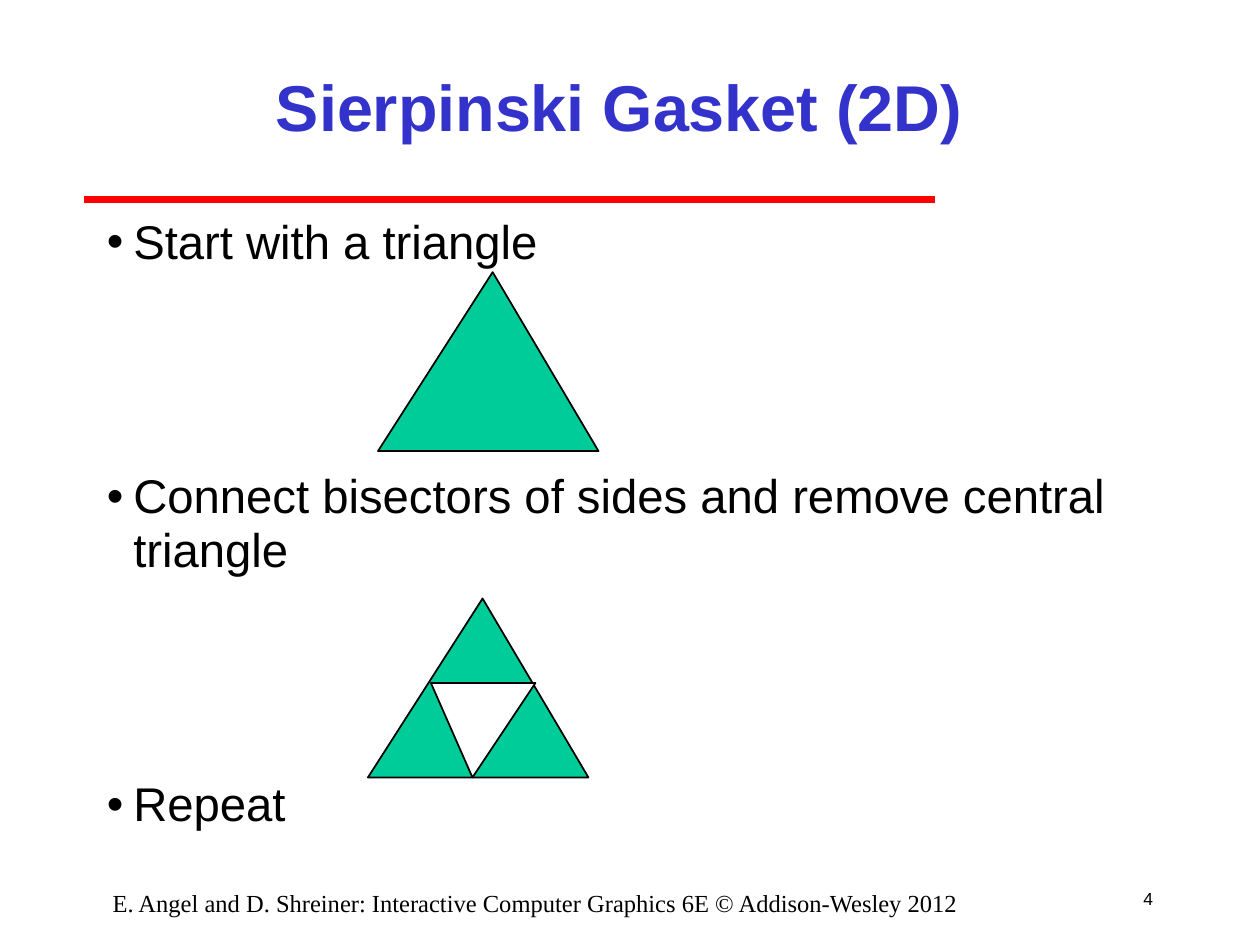
from lxml.etree import SubElement
from pptx import Presentation
from pptx.dml.color import RGBColor
from pptx.enum.shapes import MSO_CONNECTOR
from pptx.enum.text import MSO_ANCHOR, PP_ALIGN
from pptx.oxml.ns import qn
from pptx.util import Inches, Pt

WIDE, HIGH = 10, 7.5
BLACK, GREEN, WHITE = "000000", "00CC99", "FFFFFF"
BLUE, RED = "3333CC", "FF0000"
INDENT = Inches(0.21)
GAP = 115  # room for a figure between two bullets, in points


def paint(color, code):
    color.rgb = RGBColor.from_string(code)


def add_text(slide, box, lines, size, name="Arial", code=BLACK, bold=False,
             align=PP_ALIGN.LEFT, anchor=MSO_ANCHOR.TOP):
    frame = slide.shapes.add_textbox(*map(Inches, box)).text_frame
    frame.word_wrap = True
    frame.vertical_anchor = anchor
    frame.text = "\n".join(lines)
    for para in frame.paragraphs:
        para.alignment = align
        for run in para.runs:
            font = run.font
            font.size, font.name, font.bold = Pt(size), name, bold
            paint(font.color, code)
    return frame


def add_list(slide, box, lines):
    frame = add_text(slide, box, lines, 27)
    for i, para in enumerate(frame.paragraphs):
        para.line_spacing = 0.94
        para.space_before = Pt(GAP if i else 0)
        props = para._p.get_or_add_pPr()
        props.set("marL", str(INDENT))
        props.set("indent", str(-INDENT))
        SubElement(props, qn("a:buFont"), typeface="Arial")
        SubElement(props, qn("a:buChar"), char="•")


def add_rule(slide, left, right, top):
    ends = map(Inches, (left, top, right, top))
    rule = slide.shapes.add_connector(MSO_CONNECTOR.STRAIGHT, *ends)
    paint(rule.line.color, RED)
    rule.line.width = Pt(4)
    SubElement(rule._element.spPr, qn("a:effectLst"))


def add_triangle(slide, code, *points):
    start, *rest = [(Inches(x), Inches(y)) for x, y in points]
    pen = slide.shapes.build_freeform(*start)
    pen.add_line_segments(rest, close=True)
    shape = pen.convert_to_shape()
    shape.shadow.inherit = False
    shape.fill.solid()
    paint(shape.fill.fore_color, code)
    paint(shape.line.color, BLACK)
    shape.line.width = Pt(1)


def add_peak(slide, left, base):
    add_triangle(slide, GREEN, (left, base), (left + 0.91, base - 1.42),
                 (left + 1.75, base))


def main():
    deck = Presentation()
    deck.slide_width, deck.slide_height = Inches(WIDE), Inches(HIGH)
    slide = deck.slides.add_slide(deck.slide_layouts[6])

    add_rule(slide, 0.67, 7.42, 1.58)
    add_text(slide, (8.75, 6.92, 0.5, 0.42), ["4"], 10,
             align=PP_ALIGN.RIGHT, anchor=MSO_ANCHOR.MIDDLE)
    add_text(slide, (0.5, 7, 7.5, 0.25),
             ["E. Angel and D. Shreiner: Interactive Computer Graphics 6E "
              "© Addison-Wesley 2012"],
             14, name="Times New Roman", align=PP_ALIGN.CENTER)
    add_text(slide, (1.5, 0.25, 6.83, 1.17), ["Sierpinski Gasket (2D)"], 37,
             code=BLUE, bold=True, align=PP_ALIGN.CENTER,
             anchor=MSO_ANCHOR.MIDDLE)
    add_list(slide, (0.75, 1.67, 8.5, 5.17),
             ["Start with a triangle",
              "Connect bisectors of sides and remove central triangle",
              "Repeat"])

    add_peak(slide, 3, 3.58)
    add_peak(slide, 2.92, 6.17)
    add_triangle(slide, WHITE, (3.42, 5.42), (4.25, 5.42), (3.75, 6.17))

    deck.save("out.pptx")


if __name__ == "__main__":
    main()
